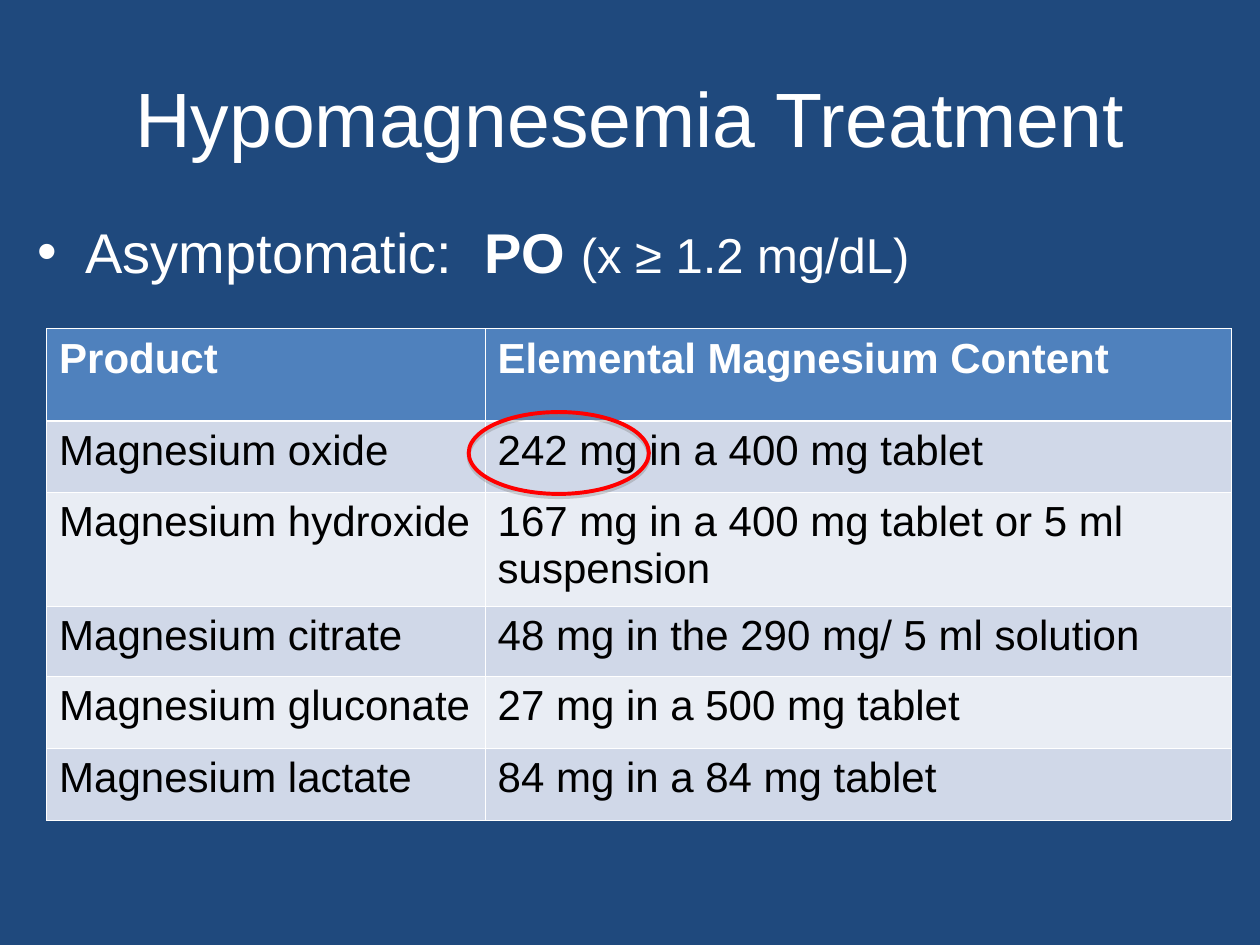
"""Build the hypomagnesemia treatment slide with its table of oral products."""
from lxml import etree
from pptx import Presentation
from pptx.dml.color import RGBColor
from pptx.enum.shapes import MSO_SHAPE
from pptx.enum.text import MSO_ANCHOR, PP_ALIGN
from pptx.oxml.ns import qn
from pptx.util import Inches, Pt

OVAL = MSO_SHAPE.OVAL
MIDDLE = MSO_ANCHOR.MIDDLE
CENTER = PP_ALIGN.CENTER

FONT = "Arial"
HUES = {"back": "1F497D", "white": "FFFFFF", "black": "000000", "head": "4F81BD",
        "odd": "D0D8E8", "even": "E9EDF4", "ring": "FF0000", "shade": "808080"}

TITLE = [("Hypomagnesemia Treatment", 44, False)]
POINT = [("Asymptomatic:  ", 32, False), ("PO ", 32, True), ("(x ≥ 1.2 mg/dL)", 28, False)]
ROWS = [
    ("Product", "Elemental Magnesium Content"),
    ("Magnesium oxide", "242 mg in a 400 mg tablet"),
    ("Magnesium hydroxide", "167 mg in a 400 mg tablet or 5 ml suspension"),
    ("Magnesium citrate", "48 mg in the 290 mg/ 5 ml solution"),
    ("Magnesium gluconate", "27 mg in a 500 mg tablet"),
    ("Magnesium lactate", "84 mg in a 84 mg tablet"),
]
WIDTHS = [3.48, 5.92]
HEIGHTS = [0.73, 0.57, 0.9, 0.56, 0.57, 0.57]
LEFT, TOP = 0.37, 2.61
RING = (1.43, 0.65)
THIN, THICK = 0.45, 1.47


def paint(fill, hue):
    fill.solid()
    fill.fore_color.rgb = RGBColor.from_string(HUES[hue])


def node(root, tag, **attrs):
    return etree.SubElement(root, qn(tag), attrs)


def write(para, runs, hue):
    for text, size, bold in runs:
        run = para.add_run()
        run.text = text
        run.font.name, run.font.size, run.font.bold = FONT, Pt(size), bold
        run.font.color.rgb = RGBColor.from_string(HUES[hue])


def add_text(slide, box, runs):
    frame = slide.shapes.add_textbox(*map(Inches, box)).text_frame
    frame.word_wrap = True
    write(frame.paragraphs[0], runs, "white")
    return frame


def add_bullet(para):
    props = para._p.get_or_add_pPr()
    props.set("marL", str(Inches(0.38)))
    props.set("indent", str(-Inches(0.38)))
    node(node(props, "a:buClr"), "a:srgbClr", val=HUES["white"])
    node(props, "a:buFont", typeface=FONT)
    node(props, "a:buChar", char="•")


def add_edges(cell, row):
    props = cell._tc.get_or_add_tcPr()
    wide = {"B": row == 0, "T": row == 1}
    for spot, side in enumerate("LRTB"):
        width = THICK if wide.get(side) else THIN
        line = etree.Element(qn(f"a:ln{side}"), w=str(Pt(width)))
        node(node(line, "a:solidFill"), "a:srgbClr", val=HUES["white"])
        props.insert(spot, line)


def add_grid(slide):
    size = (LEFT, TOP, sum(WIDTHS), sum(HEIGHTS))
    table = slide.shapes.add_table(len(ROWS), len(WIDTHS), *map(Inches, size)).table
    for col, width in zip(table.columns, WIDTHS):
        col.width = Inches(width)
    for row, (texts, height) in enumerate(zip(ROWS, HEIGHTS)):
        table.rows[row].height = Inches(height)
        head = row == 0
        fill = "head" if head else "odd" if row % 2 else "even"
        for col, text in enumerate(texts):
            cell = table.cell(row, col)
            paint(cell.fill, fill)
            add_edges(cell, row)
            write(cell.text_frame.paragraphs[0], [(text, 24, head)], "white" if head else "black")


def add_ring(slide):
    wide, high = RING
    left = LEFT + WIDTHS[0] - 0.13
    top = TOP + HEIGHTS[0] - 0.07
    ring = slide.shapes.add_shape(OVAL, *map(Inches, (left, top, wide, high)))
    ring.fill.background()
    paint(ring.line.fill, "ring")
    ring.line.width = Pt(2.25)
    ring.shadow.inherit = False
    glow = ring._element.spPr.find(qn("a:effectLst"))
    drop = node(glow, "a:outerShdw", blurRad="0", dist=str(Pt(1.8)), dir="5400000", rotWithShape="0")
    node(node(drop, "a:srgbClr", val=HUES["shade"]), "a:alpha", val="35000")


def main():
    deck = Presentation()
    deck.slide_width, deck.slide_height = Inches(10), Inches(7.5)
    slide = deck.slides.add_slide(deck.slide_layouts[6])
    paint(slide.background.fill, "back")
    title = add_text(slide, (0.5, 0.3, 9, 1.25), TITLE)
    title.vertical_anchor = MIDDLE
    title.paragraphs[0].alignment = CENTER
    point = add_text(slide, (0.2, 1.68, 9.57, 5.56), POINT)
    add_bullet(point.paragraphs[0])
    add_grid(slide)
    add_ring(slide)
    deck.save("out.pptx")


if __name__ == "__main__":
    main()
